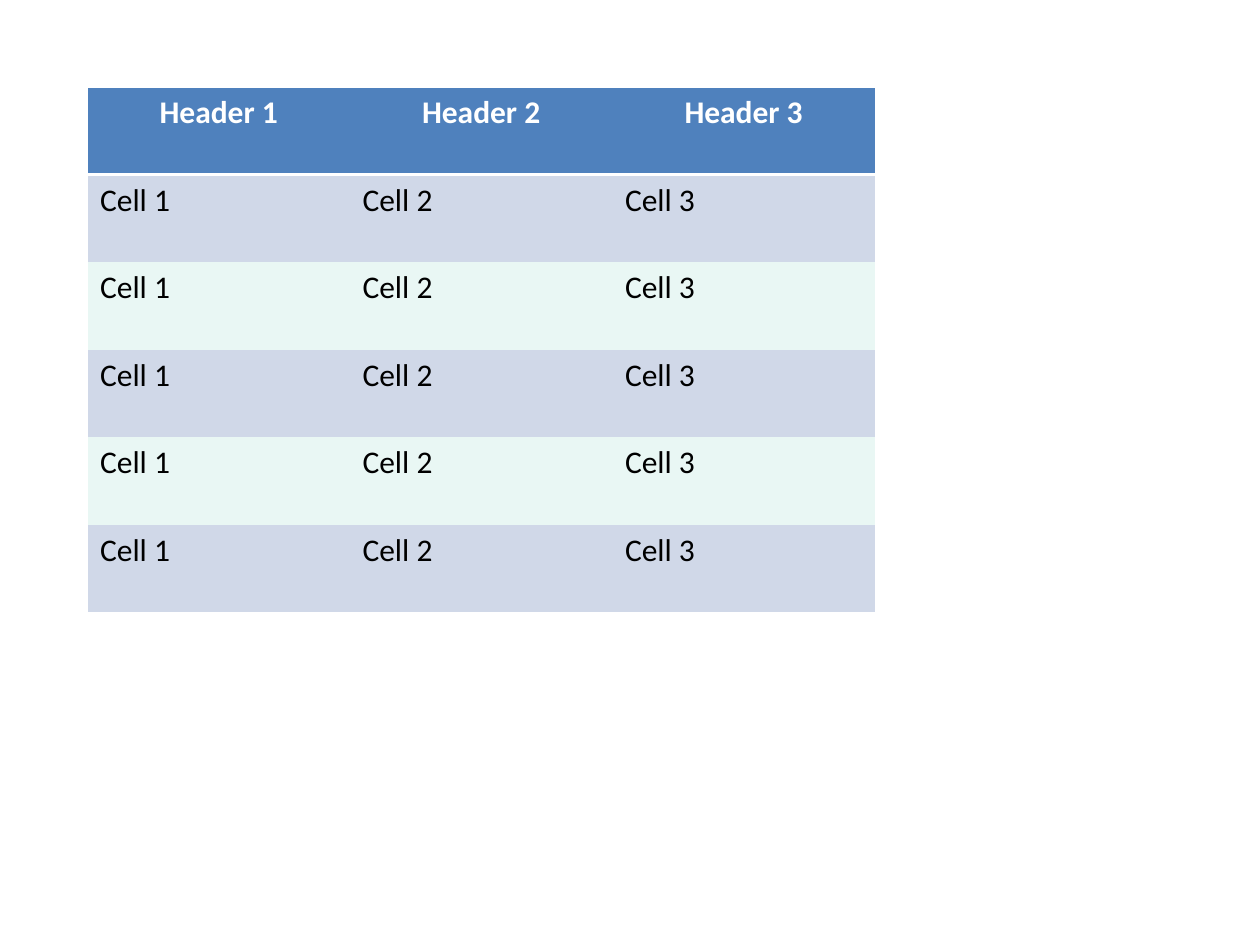
from lxml import etree
from pptx import Presentation
from pptx.dml.color import RGBColor
from pptx.enum.text import PP_ALIGN
from pptx.oxml import parse_xml
from pptx.util import Pt

CENTER, LEFT = PP_ALIGN.CENTER, PP_ALIGN.LEFT
PLAIN = "{2D5ABB26-0587-4C30-8999-92F81FD0307C}"
NS = "http://schemas.openxmlformats.org/drawingml/2006/main"
RULE = (f'<a:lnB xmlns:a="{NS}" w="{Pt(2)}"><a:solidFill>'
        '<a:srgbClr val="FFFFFF"/></a:solidFill></a:lnB>')
ROWS, COLS = 6, 3
BANDS = ["E9F7F4", "D0D8E8"]


def paint(fill, color):
    fill.solid()
    fill.fore_color.rgb = RGBColor.from_string(color)


deck = Presentation()
deck.slide_width, deck.slide_height = Pt(720), Pt(540)
slide = deck.slides.add_slide(deck.slide_layouts[6])

frame = slide.shapes.add_table(ROWS, COLS, Pt(50), Pt(50), Pt(450), Pt(300))
table = frame.table
table.horz_banding = False
style = etree.ETXPath(f"//{{{NS}}}tableStyleId")(frame._element)[0]
style.text = PLAIN

for row in range(ROWS):
    head = row == 0
    for col in range(COLS):
        cell = table.cell(row, col)
        if head:
            cell._tc.get_or_add_tcPr().append(parse_xml(RULE))
        paint(cell.fill, "4F81BD" if head else BANDS[row % 2])
        para = cell.text_frame.paragraphs[0]
        para.alignment = CENTER if head else LEFT
        run = para.add_run()
        run.text = f"{'Header' if head else 'Cell'} {col + 1}"
        run.font.name, run.font.size, run.font.bold = "Calibri", Pt(18), head
        paint(run.font.fill, "FFFFFF" if head else "000000")

deck.save("out.pptx")
